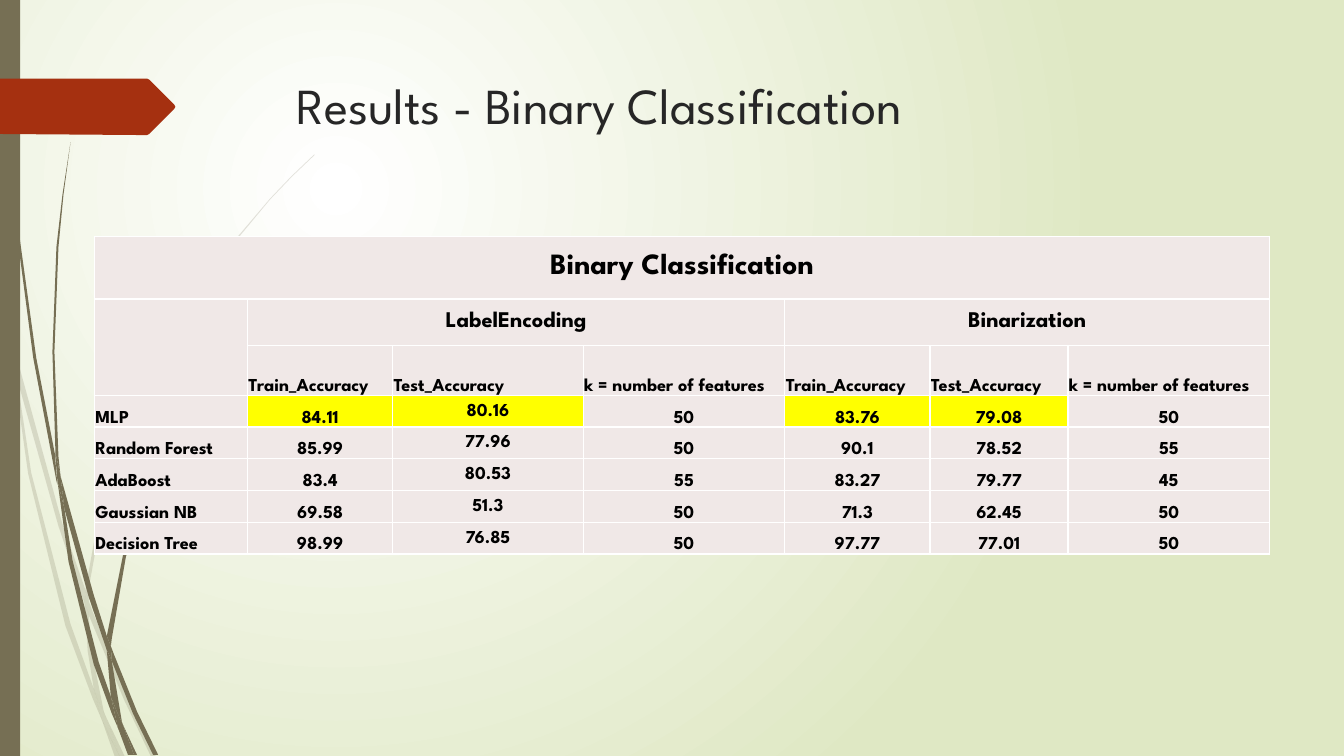
from dataclasses import dataclass
from pptx import Presentation, util as u
from pptx.dml.color import RGBColor
from pptx.enum import shapes, text
from pptx.oxml import parse_xml
from pptx.oxml.ns import nsdecls


@dataclass(frozen=True)
class Theme:
    font: str = "League Spartan"
    title: str = "262626"
    ink: str = "000000"
    cell: str = "F0E8E7"
    best: str = "FFFF00"
    border: str = "FFFFFF"
    glow: str = "FFFFFF"
    backdrop: str = "DFE8C4"
    stem: str = "766F54"
    tag: str = "A53010"
    title_size: int = 36
    table_size: int = 21
    group_size: int = 16
    body_size: int = 13


theme = Theme()
TITLE = "Results - Binary Classification"
CAPTION = "Binary Classification"
ENCODINGS = ["LabelEncoding", "Binarization"]
MEASURES = ["Train_Accuracy", "Test_Accuracy", "k = number of features"]
RESULTS = [
    ("MLP", "84.11", "80.16", "50", "83.76", "79.08", "50"),
    ("Random Forest", "85.99", "77.96", "50", "90.1", "78.52", "55"),
    ("AdaBoost", "83.4", "80.53", "55", "83.27", "79.77", "45"),
    ("Gaussian NB", "69.58", "51.3", "50", "71.3", "62.45", "50"),
    ("Decision Tree", "98.99", "76.85", "50", "97.77", "77.01", "50"),
]
BEST = {(3, column) for column in (1, 2, 4, 5)}
COLUMN_WIDTHS = [109.4, 103.7, 136.1, 144, 103.7, 98.6, 144]
ROW_HEIGHTS = [44.6, 33.2, 35.6] + [22.7] * len(RESULTS)

GRID = u.Pt(0.72)
PALE_STEMS = [
    [(11, 350), (9, 322), (0, 282), (0, 299), (10, 344)],
    [(58, 522), (84, 599), (85, 586), (62, 520), (14, 345), (17, 376)],
    [(92, 607), (88, 596), (88, 610), (123, 694), (150, 751), (155, 751), (127, 692)],
    [(119, 751), (124, 751), (105, 711)],
    [(93, 683), (70, 619), (31, 469), (17, 376), (11, 350), (28, 470), (65, 621),
     (92, 693), (101, 714), (99, 707)],
    [(84, 599), (87, 646), (93, 683), (96, 692), (105, 711), (103, 706), (91, 646),
     (88, 610), (88, 608)],
    [(88, 584), (110, 462), (160, 349), (229, 245), (268, 198), (290, 175), (312, 154),
     (312, 153), (289, 175), (268, 197), (228, 244), (158, 348), (107, 461), (85, 584),
     (85, 586), (88, 596)],
    [(101, 714), (114, 751), (119, 751)],
    [(88, 608), (88, 610), (88, 596), (85, 586), (84, 599)],
    [(96, 692), (93, 683), (99, 707), (101, 714), (119, 751), (105, 711)],
]
DARK_STEMS = [
    [(7, 110), (17, 233), (33, 355), (56, 477), (57, 481), (55, 457), (55, 453),
     (36, 355), (19, 232), (8, 109), (5, 48), (4, 0), (3, 0), (4, 48)],
    [(88, 592), (106, 645), (106, 633), (106, 631), (93, 590), (60, 472), (64, 505)],
    [(113, 649), (110, 641), (111, 656), (132, 708), (152, 749), (157, 749), (136, 706)],
    [(110, 691), (98, 657), (72, 556), (64, 505), (57, 477), (68, 557), (93, 659),
     (111, 708), (117, 722), (116, 717)],
    [(60, 472), (58, 453), (54, 349), (58, 245), (63, 193), (70, 141), (62, 193),
     (56, 245), (52, 349), (55, 449)],
    [(133, 749), (136, 749), (122, 719)],
    [(57, 477), (64, 505), (60, 472), (55, 449), (55, 453)],
    [(111, 633), (125, 552), (158, 476), (205, 406), (231, 374), (245, 359), (261, 344),
     (260, 344), (245, 358), (231, 373), (204, 405), (156, 474), (122, 551), (106, 631),
     (110, 641)],
    [(117, 722), (127, 749), (131, 749)],
    [(106, 645), (110, 691), (116, 706), (122, 719), (121, 716), (111, 656), (109, 651)],
    [(106, 645), (109, 651), (111, 656), (110, 641), (106, 631), (106, 633)],
    [(116, 706), (110, 691), (116, 717), (117, 722), (130, 749), (133, 749), (122, 719)],
]
TAG = [(0, 78), (146, 78), (148, 79), (173, 104), (174, 106), (173, 108), (148, 133),
       (146, 134), (136, 134), (0, 133)]


def apply(target, **values):
    for key, value in values.items():
        setattr(target, key, value)


def paint(part, colour, opacity=100):
    part.fill.solid()
    part.fill.fore_color.rgb = RGBColor.from_string(colour)
    if opacity < 100:
        tint = part.fill._xPr.find(".//{*}srgbClr")
        tint.append(parse_xml(f'<a:alpha {nsdecls("a")} val="{opacity * 1000}"/>'))


def finish(part, colour, opacity=100):
    paint(part, colour, opacity)
    part.line.fill.background()
    part.shadow.inherit = False


def outline(points, colour, opacity=100):
    builder = slide.shapes.build_freeform(*points[0], scale=GRID)
    builder.add_line_segments(points[1:], close=True)
    finish(builder.convert_to_shape(), colour, opacity)


def write(frame, words, size, colour, bold, align):
    frame.text = words
    paragraph = frame.paragraphs[0]
    paragraph.alignment = align
    for run in paragraph.runs:
        apply(run.font, name=theme.font, size=u.Pt(size), bold=bold)
        run.font.color.rgb = RGBColor.from_string(colour)


def add_borders(cell):
    for index, side in enumerate("LRTB"):
        cell._tc.get_or_add_tcPr().insert(index, parse_xml(
            f'<a:ln{side} {nsdecls("a")} w="12700"><a:solidFill>'
            f'<a:srgbClr val="{theme.border}"/></a:solidFill></a:ln{side}>'))


deck = Presentation()
apply(deck, slide_width=u.Pt(960), slide_height=u.Pt(540))
slide = deck.slides.add_slide(deck.slide_layouts[5])

backdrop = slide.background.fill
backdrop.gradient()
for stop, colour in zip(backdrop.gradient_stops, (theme.glow, theme.backdrop)):
    stop.color.rgb = RGBColor.from_string(colour)
gradient = slide.element.find(".//{*}gradFill")
gradient.replace(gradient.find("{*}lin"), parse_xml(
    f'<a:path {nsdecls("a")} path="circle">'
    '<a:fillToRect l="50000" t="50000" r="100000" b="100000"/></a:path>'))

for stems, opacity in ((PALE_STEMS, 20), (DARK_STEMS, 100)):
    for stem in stems:
        outline(stem, theme.stem, opacity)
spine = slide.shapes.add_shape(shapes.MSO_SHAPE.RECTANGLE, 0, 0, u.Pt(14.4), u.Pt(540))
finish(spine, theme.stem)
outline(TAG, theme.tag)

title = slide.shapes.title
apply(title, left=u.Pt(204.5), top=u.Pt(49), width=u.Pt(702), height=u.Pt(100.8))
apply(title.text_frame, vertical_anchor=text.MSO_ANCHOR.TOP, word_wrap=True)
write(title.text_frame, TITLE, theme.title_size, theme.title, False, text.PP_ALIGN.LEFT)

span = len(MEASURES)
groups = [""]
for encoding in ENCODINGS:
    groups += [encoding] + [""] * (span - 1)
rows = [[CAPTION] + [""] * (len(groups) - 1), groups, [""] + MEASURES * len(ENCODINGS), *RESULTS]
table = slide.shapes.add_table(
    len(rows), len(groups), u.Pt(67.4), u.Pt(169),
    u.Pt(sum(COLUMN_WIDTHS)), u.Pt(sum(ROW_HEIGHTS))).table
apply(table, first_row=False, horz_banding=False)
for column, width in zip(table.columns, COLUMN_WIDTHS):
    column.width = u.Pt(width)
for row, height in zip(table.rows, ROW_HEIGHTS):
    row.height = u.Pt(height)

for r, row in enumerate(rows):
    for c, words in enumerate(row):
        cell = table.cell(r, c)
        paint(cell, theme.best if (r, c) in BEST else theme.cell)
        add_borders(cell)
        heading = r < 2
        middle = heading or (r > 2 and c == 2)
        cell.vertical_anchor = text.MSO_ANCHOR.MIDDLE if middle else text.MSO_ANCHOR.BOTTOM
        if not heading:
            apply(cell, margin_left=u.Pt(0.7), margin_right=u.Pt(0.7),
                  margin_top=u.Pt(0.7), margin_bottom=0)
        size = (theme.table_size, theme.group_size)[r] if heading else theme.body_size
        centred = heading or (r > 2 and c > 0)
        align = text.PP_ALIGN.CENTER if centred else text.PP_ALIGN.LEFT
        if words:
            write(cell.text_frame, words, size, theme.ink, True, align)

table.cell(0, 0).merge(table.cell(0, len(groups) - 1))
table.cell(1, 0).merge(table.cell(2, 0))
for first in range(1, len(groups), span):
    table.cell(1, first).merge(table.cell(1, first + span - 1))

deck.save("out.pptx")
